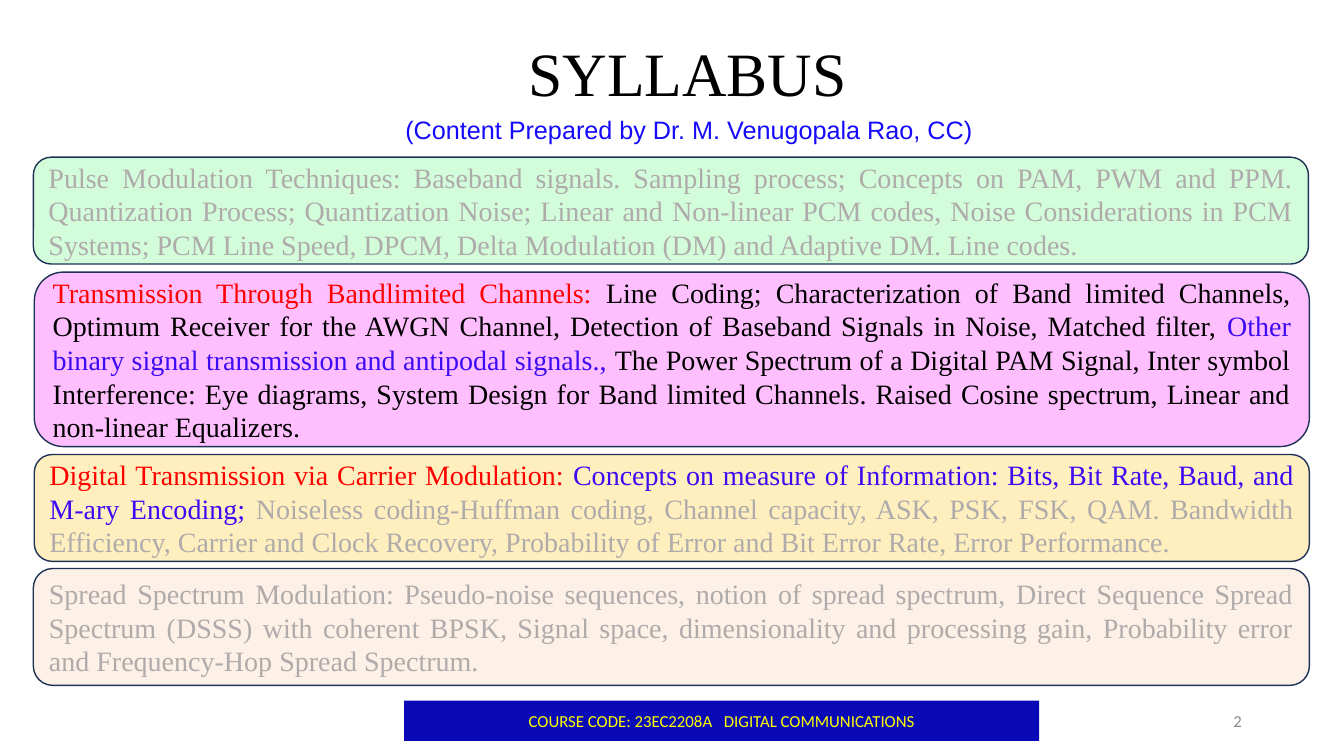
import pptx
import pptx.dml.color
import pptx.enum.shapes
import pptx.enum.text
import pptx.oxml
import pptx.oxml.ns
import pptx.util

Pt = pptx.util.Pt
ALIGN = pptx.enum.text.PP_ALIGN
ANCHOR = pptx.enum.text.MSO_ANCHOR
SHAPE = pptx.enum.shapes.MSO_SHAPE

GREY, RED, BLUE, BLACK = "AFABAB", "FF0000", "3D0BF3", "000000"


def color(value):
    return pptx.dml.color.RGBColor.from_string(value)


class SyllabusSlide:
    serif = "Times New Roman"
    outline = "1E3256"
    unit_size = 20

    def __init__(self, presentation):
        self.slide = presentation.slides.add_slide(presentation.slide_layouts[6])

    def add_runs(self, shape, runs, size, font, align, anchor=ANCHOR.MIDDLE):
        frame = shape.text_frame
        frame.word_wrap = True
        frame.vertical_anchor = anchor
        paragraph = frame.paragraphs[0]
        paragraph.alignment = align
        for text, text_color in runs:
            run = paragraph.add_run()
            run.text = text
            run.font.size = Pt(size)
            run.font.name = font
            run.font.color.rgb = color(text_color)
        return paragraph

    def label(self, box, runs, size, font, align, anchor=ANCHOR.MIDDLE):
        shape = self.slide.shapes.add_textbox(*map(Pt, box))
        return self.add_runs(shape, runs, size, font, align, anchor)

    def panel(self, kind, box, fill, opacity=100):
        shape = self.slide.shapes.add_shape(kind, *map(Pt, box))
        shape.shadow.inherit = False
        shape.fill.solid()
        shape.fill.fore_color.rgb = color(fill)
        if opacity < 100:
            solid = shape.fill._xPr.find(pptx.oxml.ns.qn("a:solidFill"))
            alpha = pptx.oxml.parse_xml(
                f'<a:alpha {pptx.oxml.ns.nsdecls("a")} val="{opacity * 1000}"/>')
            solid[0].append(alpha)
        return shape

    def unit(self, box, fill, opacity, runs):
        shape = self.panel(SHAPE.ROUNDED_RECTANGLE, box, fill, opacity)
        shape.line.color.rgb = color(self.outline)
        shape.line.width = Pt(1)
        self.add_runs(shape, runs, self.unit_size, self.serif, ALIGN.JUSTIFY)

    def footer(self, box, fill, runs, size, font, gap):
        shape = self.panel(SHAPE.RECTANGLE, box, fill)
        shape.line.fill.background()
        paragraph = self.add_runs(shape, runs, size, font, ALIGN.CENTER)
        paragraph.runs[1]._r.get_or_add_rPr().set("spc", str(round(gap * 100)))


UNITS = [
    ((23.8, 112.3, 910.8, 76.3), "4DF56D", 25, [
        ("Pulse Modulation Techniques: Baseband signals. Sampling process; Concepts on "
         "PAM, PWM and PPM. Quantization Process; Quantization Noise; Linear and "
         "Non-linear PCM codes, Noise Considerations in PCM Systems; PCM Line Speed, "
         "DPCM, Delta Modulation (DM) and Adaptive DM. Line codes.", GREY)]),
    ((24.5, 194.4, 910.8, 124.6), "FF00FF", 25, [
        ("Transmission Through Bandlimited Channels: ", RED),
        ("Line Coding; Characterization of Band limited Channels, Optimum Receiver for "
         "the AWGN Channel, Detection of Baseband Signals in Noise, Matched filter, ", BLACK),
        ("Other binary signal transmission and antipodal signals., ", BLUE),
        ("The Power Spectrum of a Digital PAM Signal, Inter symbol Interference: Eye "
         "diagrams, System Design for Band limited Channels. Raised Cosine spectrum, "
         "Linear and non-linear Equalizers. ", BLACK)]),
    ((24.5, 324.7, 910.8, 76.3), "FFC000", 25, [
        ("Digital Transmission via Carrier Modulation: ", RED),
        ("Concepts on measure of Information: Bits, Bit Rate, Baud, and M-ary Encoding; ",
         BLUE),
        ("Noiseless coding-Huffman coding, Channel capacity, ASK, PSK, FSK, QAM. "
         "Bandwidth Efficiency, Carrier and Clock Recovery, Probability of Error and "
         "Bit Error Rate, Error Performance.", GREY)]),
    ((23.8, 406.1, 911.5, 83.5), "F4B183", 19, [
        ("Spread Spectrum Modulation: Pseudo-noise sequences, notion of spread spectrum, "
         "Direct Sequence Spread Spectrum (DSSS) with coherent BPSK, Signal space, "
         "dimensionality and processing gain, Probability error and Frequency-Hop "
         "Spread Spectrum. ", GREY)]),
]


def main():
    presentation = pptx.Presentation()
    presentation.slide_width = Pt(960)
    presentation.slide_height = Pt(540)
    syllabus = SyllabusSlide(presentation)

    title = syllabus.label((107.3, 2.2, 768.2, 104.4), [("SYLLABUS", BLACK)],
                           44, syllabus.serif, ALIGN.CENTER)
    title.line_spacing = 0.9
    syllabus.label((678.2, 500.4, 216, 28.8), [("2", "8C8C8C")],
                   12, "Calibri", ALIGN.RIGHT)
    syllabus.footer((288.7, 500.4, 453.6, 28.8), "0909B7",
                    [("COURSE CODE: 23EC2208A", "FFFF00"), (" ", "FFFF00"),
                     ("DIGITAL COMMUNICATIONS", "FFFF00")], 12, "Calibri", 5.4)
    for unit in UNITS:
        syllabus.unit(*unit)
    syllabus.label((252, 77.8, 480.2, 28.8),
                   [("(Content Prepared by Dr. M. Venugopala Rao, CC)", "150AFA")],
                   18, "Arial", ALIGN.CENTER, ANCHOR.TOP)

    presentation.save("out.pptx")


if __name__ == "__main__":
    main()
